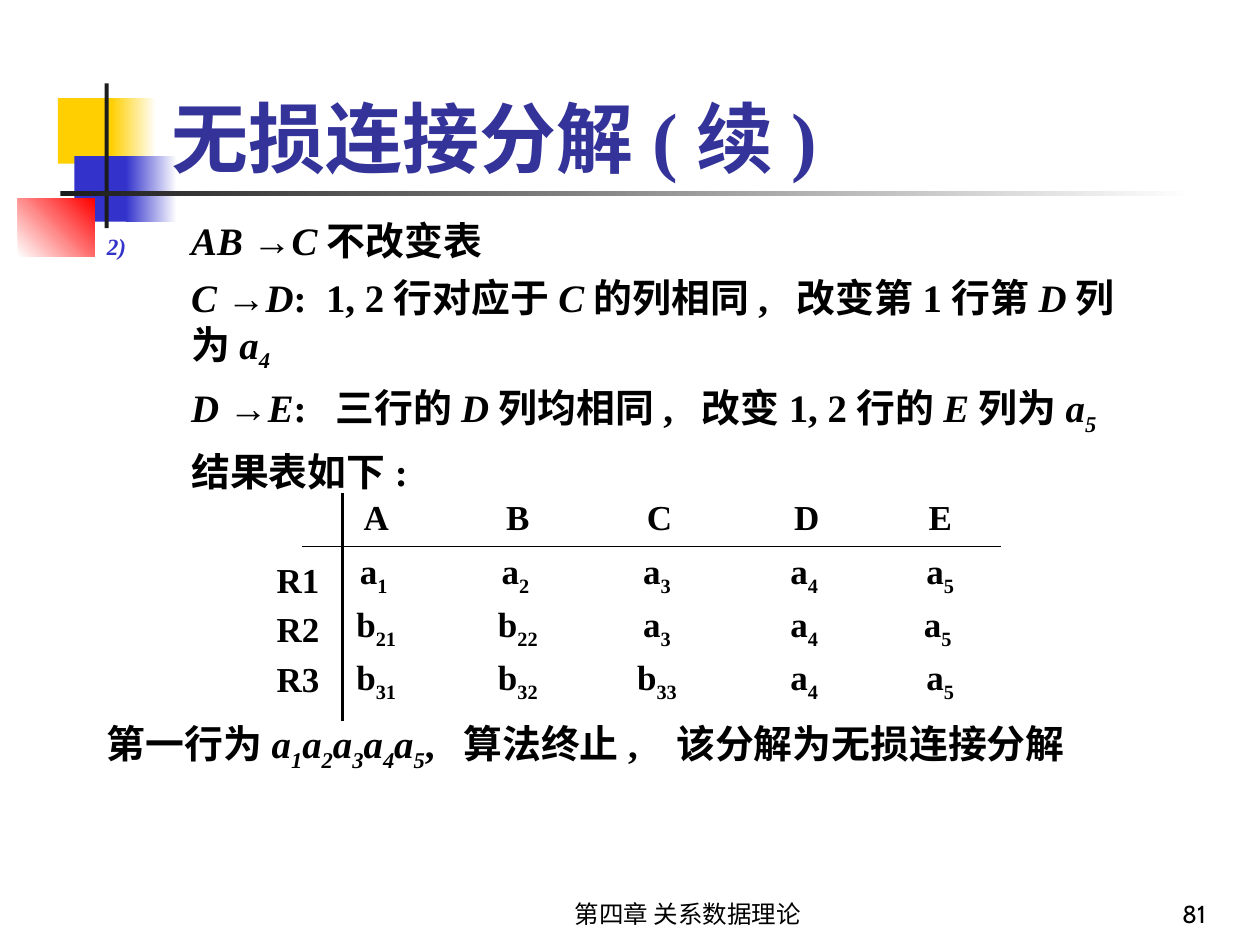
from dataclasses import dataclass

from lxml import etree
from pptx import Presentation
from pptx.dml.color import RGBColor
from pptx.enum.shapes import MSO_CONNECTOR, MSO_SHAPE
from pptx.enum.text import MSO_ANCHOR, MSO_AUTO_SIZE, PP_ALIGN
from pptx.oxml.ns import qn
from pptx.util import Cm, Pt

RECT = MSO_SHAPE.RECTANGLE
LINE = MSO_CONNECTOR.STRAIGHT
LEFT, MID, RIGHT = PP_ALIGN.LEFT, PP_ALIGN.CENTER, PP_ALIGN.RIGHT
TOP, BASE = MSO_ANCHOR.TOP, MSO_ANCHOR.BOTTOM
FIXED = MSO_AUTO_SIZE.NONE


@dataclass(frozen=True)
class Theme:
    """Colours, fonts and type sizes of the slide."""
    black: str = "000000"
    white: str = "FFFFFF"
    ink: str = "1C1C1C"
    gold: str = "FFCF01"
    blue: str = "3333CC"
    red: str = "FF0000"
    head: str = "333399"
    serif: str = "Times New Roman"
    sans: str = "Arial"
    foot: str = "Cabin"
    title: float = 44
    body: float = 22.2
    cell: float = 20
    note: float = 14


THEME = Theme()


def rgb(code):
    """Turn a hex code into a colour."""
    return RGBColor.from_string(code)


def node(up, tag, **attrs):
    """Append a drawing element with its attributes."""
    item = etree.SubElement(up, qn("a:" + tag))
    for key, val in attrs.items():
        item.set(key, val)
    return item


def write(para, text, size, font=THEME.serif, color=THEME.black, bold=True, style=""):
    """Add one run; style i is italic and s is subscript."""
    run = para.add_run()
    run.text = text
    face = run.font
    face.size, face.name, face.bold = Pt(size), font, bold
    face.italic = "i" in style
    face.color.rgb = rgb(color)
    if "s" in style:
        face._element.set("baseline", "-25000")


def place(shape, box):
    """Move a shape to a box given in centimetres."""
    shape.left, shape.top, shape.width, shape.height = map(Cm, box)


def setup(frame, anchor=TOP, wrap=True):
    """Fix the size, anchor and wrapping of a text frame."""
    frame.auto_size, frame.word_wrap = FIXED, wrap
    frame.vertical_anchor = anchor


def label(slide, box, text, size, align, anchor=TOP, wrap=True, **face):
    """Put one line of text in a box."""
    frame = slide.shapes.add_textbox(*map(Cm, box)).text_frame
    setup(frame, anchor, wrap)
    para = frame.paragraphs[0]
    para.alignment = align
    write(para, text, size, **face)


def decor(slide, left, top):
    """Draw the colour blocks and rules behind the title."""
    t = THEME
    parts = [
        (0.81, 0.3, 1.22, 1.32, t.gold, None, 0),
        (1.88, 0.3, 0.91, 1.32, t.gold, t.white, 0),
        (1.14, 1.47, 1.17, 1.32, t.blue, None, 0),
        (2.18, 1.47, 1.02, 1.32, t.blue, t.white, 0),
        (0, 2.33, 1.55, 1.17, t.white, t.red, 45),
        (1.75, 0, 0.08, 2.92, t.ink, None, 0),
        (0.86, 2.18, 22.86, 0.1, t.ink, t.white, 0),
    ]
    tree = slide.shapes._spTree
    for spot, (x, y, w, h, start, end, angle) in enumerate(parts, 2):
        block = slide.shapes.add_shape(RECT, Cm(left + x), Cm(top + y), Cm(w), Cm(h))
        block.shadow.inherit = False
        block.line.fill.background()
        if end:
            block.fill.gradient()
            block.fill.gradient_angle = angle
            for stop, code in zip(block.fill.gradient_stops, (start, end)):
                stop.color.rgb = rgb(code)
        else:
            block.fill.solid()
            block.fill.fore_color.rgb = rgb(start)
        tree.insert(spot, block._element)


def title(slide, box):
    """Fill the title placeholder."""
    shape = slide.shapes.title
    place(shape, box)
    setup(shape.text_frame, BASE)
    para = shape.text_frame.paragraphs[0]
    para.alignment = LEFT
    write(para, "无损连接分解(续)", THEME.title, color=THEME.head)


def body(slide, box):
    """Fill the body placeholder with steps and conclusion."""
    arrow = ("→", "r")
    a4, a5 = [[("a", "i"), (n, "is")] for n in "45"]
    row = [part for n in "12345" for part in (("a", "i"), (n, "is"))]
    steps = [
        [("AB ", "i"), arrow, ("C", "i"), ("不改变表", "")],
        [("C ", "i"), arrow, ("D", "i"), (":  1, 2行对应于", ""), ("C", "i"),
         ("的列相同,  改变第1行第", ""), ("D", "i"), ("列为", ""), *a4],
        [("D ", "i"), arrow, ("E", "i"), (":  三行的", ""), ("D", "i"),
         ("列均相同,  改变1, 2行的", ""), ("E", "i"), ("列为", ""), *a5],
        [("结果表如下:", "")],
        [("第一行为", ""), *row, (",  算法终止,   该分解为无损连接分解", "")],
    ]
    shape = slide.placeholders[1]
    place(shape, box)
    frame = shape.text_frame
    setup(frame)
    last = len(steps) - 1
    for i, runs in enumerate(steps):
        para = frame.paragraphs[0] if i == 0 else frame.add_paragraph()
        para.space_before = Pt(0 if i == 0 else 129 if i == last else 6)
        props = para._p.get_or_add_pPr()
        props.set("marL", str(Cm(0 if i == last else 1.7)))
        props.set("indent", str(Cm(-1.7 if i == 0 else 0)))
        if i == 0:
            node(node(props, "buClr"), "srgbClr", val=THEME.blue)
            node(props, "buSzPct", val="60000")
            node(props, "buFont", typeface=THEME.serif)
            node(props, "buAutoNum", type="arabicParenR", startAt="2")
        else:
            node(props, "buNone")
        for text, style in runs:
            font = THEME.sans if style == "r" else THEME.serif
            write(para, text, THEME.body, font=font, style=style)


def border(cell, side):
    """Draw a thin black line on one side of a cell."""
    props = cell._tc.get_or_add_tcPr()
    edge = node(props, side, w=str(Pt(0.45)))
    node(node(edge, "solidFill"), "srgbClr", val=THEME.black)
    props.insert(0, edge)


def grid(slide, left, top):
    """Build the result table with its row names and rule."""
    cols = [
        ("A", 2.97, ("a1 ", "b21", "b31")),
        ("B", 2.74, ("a2 ", "b22", "b32")),
        ("C", 2.97, ("a3 ", "a3 ", "b33 ")),
        ("D", 2.97, ("a4 ", "a4 ", "a4 ")),
        ("E", 2.41, ("a5", "a5 ", "a5")),
    ]
    wide = sum(col[1] for col in cols)
    table = slide.shapes.add_table(
        2, len(cols), Cm(left), Cm(top), Cm(wide), Cm(4.65)).table
    table.first_row = table.horz_banding = False
    table.rows[0].height, table.rows[1].height = Cm(1.09), Cm(3.56)
    for i, (name, width, vals) in enumerate(cols):
        table.columns[i].width = Cm(width)
        for j, (lines, side) in enumerate((((name,), "lnB"), (vals, "lnT"))):
            cell = table.cell(j, i)
            cell.fill.background()
            border(cell, side)
            for k, text in enumerate(lines):
                frame = cell.text_frame
                para = frame.add_paragraph() if k else frame.paragraphs[0]
                para.alignment = MID
                para.space_before = Pt(5 if k else 0)
                write(para, text[0], THEME.cell)
                if text[1:]:
                    write(para, text[1:], THEME.cell, style="s")
    x = Cm(left + 0.81)
    rule = slide.shapes.add_connector(LINE, x, Cm(top), x, Cm(top + 4.6))
    rule.line.color.rgb = rgb(THEME.black)
    rule.line.width = Pt(1.5)
    node(rule._element.spPr, "effectLst")
    for i in range(3):
        spot = (left - 0.79, top + 1.2 + i, 1.4, 1.12)
        label(slide, spot, f"R{i + 1}", THEME.cell, MID, wrap=False)


def footer(slide, top):
    """Write the chapter name and the page number."""
    face = {"font": THEME.foot, "bold": False}
    label(slide, (9.32, top, 9.1, 1.27), "第四章 关系数据理论", THEME.note, MID, BASE, **face)
    label(slide, (19.05, top, 5.51, 1.27), "81", THEME.note, RIGHT, BASE, **face)


def main():
    """Build and save the slide."""
    deck = Presentation()
    deck.slide_width, deck.slide_height = Cm(25.4), Cm(19.05)
    slide = deck.slides.add_slide(deck.slide_layouts[1])
    decor(slide, 0.36, 1.68)
    title(slide, (3.2, 0.64, 21.36, 3.18))
    body(slide, (1.9, 4.24, 21.6, 12.9))
    grid(slide, 6.1, 9.93)
    footer(slide, 17.58)
    deck.save("out.pptx")


if __name__ == "__main__":
    main()
